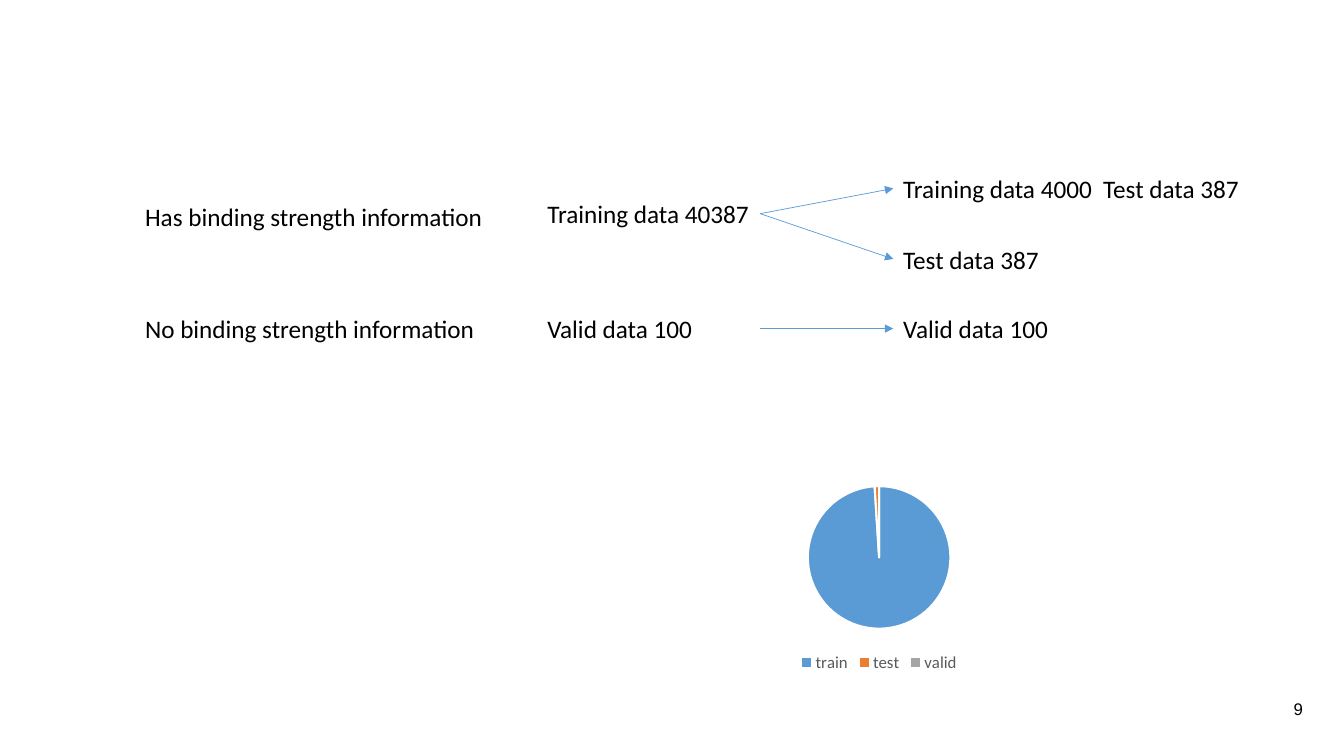
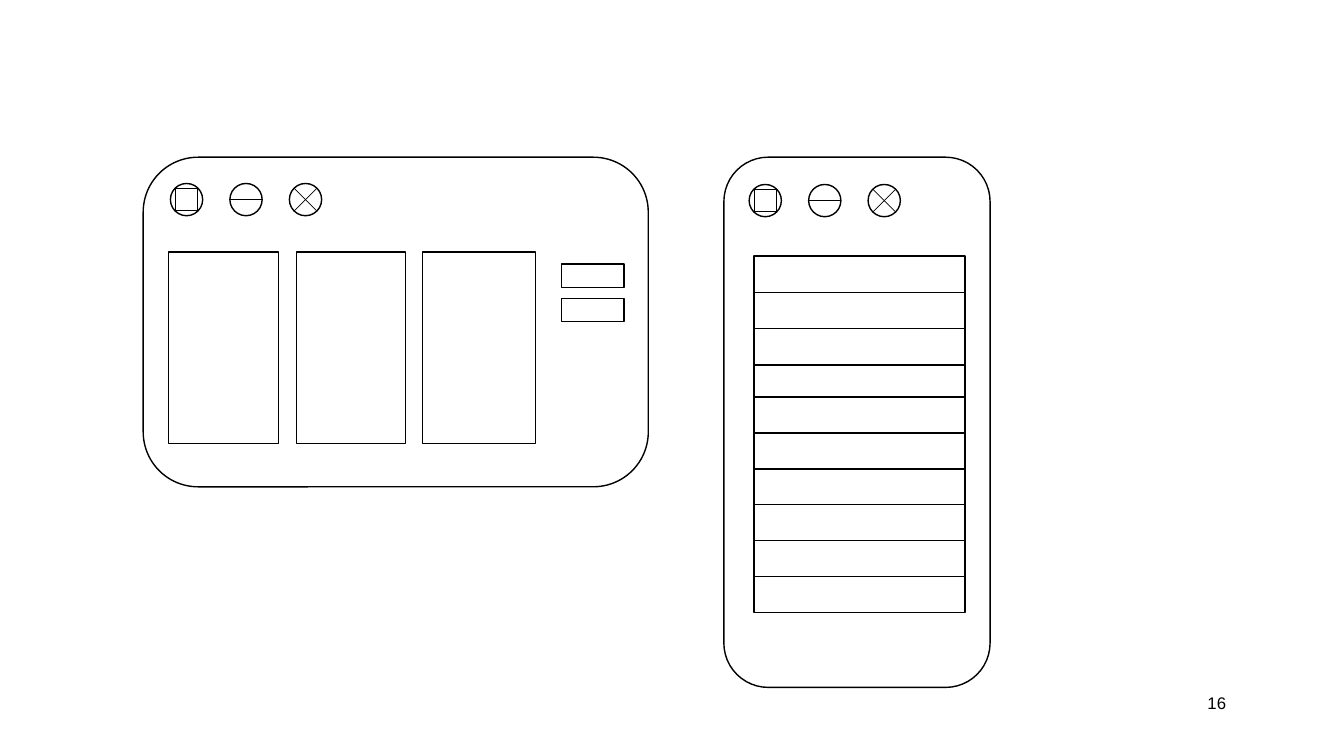
from lxml.etree import SubElement
from pptx import Presentation
from pptx.chart.data import CategoryChartData
from pptx.dml.color import RGBColor
from pptx.enum.chart import XL_CHART_TYPE, XL_LEGEND_POSITION
from pptx.enum.shapes import MSO_CONNECTOR, MSO_SHAPE
from pptx.enum.text import PP_ALIGN
from pptx.oxml import parse_xml
from pptx.oxml.ns import nsdecls, qn
from pptx.util import Inches, Pt

BLACK = RGBColor(0x00, 0x00, 0x00)
WHITE = RGBColor(0xFF, 0xFF, 0xFF)
BLUE = RGBColor(0x5B, 0x9B, 0xD5)
ORANGE = RGBColor(0xED, 0x7D, 0x31)
GRAY = RGBColor(0xA5, 0xA5, 0xA5)
LEGEND_GRAY = RGBColor(0x59, 0x59, 0x59)

LEFT, RIGHT = 1, 3
LABEL_HEIGHT = 0.4
ICON_SIZE = 0.32
ICON_PITCH = 0.59
NEAR, FAR = 0.05, 0.27
ICON_LINES = [
    [(NEAR, NEAR, FAR, NEAR), (NEAR, NEAR, NEAR, FAR),
     (NEAR, FAR, FAR, FAR), (FAR, NEAR, FAR, FAR)],
    [(0, 0.16, ICON_SIZE, 0.16)],
    [(NEAR, NEAR, FAR, FAR), (NEAR, FAR, FAR, NEAR)],
]


def add_label(page, text, left, top, width, size=18, font="Calibri",
              align=PP_ALIGN.LEFT, wrap=True):
    box = page.shapes.add_textbox(
        Inches(left), Inches(top), Inches(width), Inches(LABEL_HEIGHT))
    box.text_frame.word_wrap = wrap
    box.text_frame.text = text
    para = box.text_frame.paragraphs[0]
    para.alignment = align
    para.font.size = Pt(size)
    para.font.name = font
    para.font.color.rgb = BLACK
    return box


def add_page_number(page, number, left, top):
    add_label(page, number, left, top, 3, 12, "Arial", PP_ALIGN.RIGHT)


def add_line(shapes, x1, y1, x2, y2, color=BLACK):
    line = shapes.add_connector(MSO_CONNECTOR.STRAIGHT, Inches(x1),
                                Inches(y1), Inches(x2), Inches(y2))
    line.line.color.rgb = color
    line.line.width = Pt(0.5)
    SubElement(line._element.spPr, qn("a:effectLst"))
    return line


def add_arrow(page, source, target):
    arrow = add_line(page.shapes, 0, 0, 1, 1, BLUE)
    arrow.begin_connect(source, RIGHT)
    arrow.end_connect(target, LEFT)
    SubElement(arrow.line._get_or_add_ln(), qn("a:tailEnd"), type="triangle")


def add_outline(shapes, kind, left, top, width, height):
    shape = shapes.add_shape(kind, Inches(left), Inches(top),
                             Inches(width), Inches(height))
    shape.shadow.inherit = False
    shape.fill.solid()
    shape.fill.fore_color.rgb = WHITE
    shape.line.color.rgb = BLACK
    shape.line.width = Pt(1)


def add_window(page, left, width, height, icon_left, icon_top):
    add_outline(page.shapes, MSO_SHAPE.ROUNDED_RECTANGLE,
                left, 1.56, width, height)
    for index, lines in enumerate(ICON_LINES):
        icon = page.shapes.add_group_shape()
        x = icon_left + index * ICON_PITCH
        add_outline(icon.shapes, MSO_SHAPE.OVAL,
                    x, icon_top, ICON_SIZE, ICON_SIZE)
        for x1, y1, x2, y2 in lines:
            add_line(icon.shapes, x + x1, icon_top + y1,
                     x + x2, icon_top + y2)


def add_split_chart(page):
    data = CategoryChartData()
    data.categories = ["train", "test", "valid"]
    data.add_series("Series 1", (99, 1, 0))
    chart = page.shapes.add_chart(
        XL_CHART_TYPE.PIE, Inches(6.33), Inches(4.09),
        Inches(4.78), Inches(2.62), data).chart
    chart.has_title = False
    chart.font.name = "Calibri"
    chart.font.size = Pt(10)
    chart.font.color.rgb = BLACK
    chart.has_legend = True
    legend = chart.legend
    legend.position = XL_LEGEND_POSITION.BOTTOM
    legend.include_in_layout = False
    legend.font.name = "Calibri"
    legend.font.size = Pt(12)
    legend.font.color.rgb = LEGEND_GRAY
    plot = chart.plots[0]
    plot.vary_by_categories = True
    for index, color in enumerate((BLUE, ORANGE, GRAY)):
        style = plot.series[0].points[index].format
        style.fill.solid()
        style.fill.fore_color.rgb = color
        style.line.color.rgb = WHITE
        style.line.width = Pt(1.5)
    plot_area = chart._chartSpace.find(".//" + qn("c:plotArea"))
    for layout in plot_area.findall(qn("c:layout")):
        plot_area.remove(layout)
    plot_area.insert(0, parse_xml(
        f'<c:layout {nsdecls("c")}><c:manualLayout>'
        '<c:layoutTarget val="inner"/>'
        '<c:xMode val="edge"/><c:yMode val="edge"/>'
        '<c:x val="0.35"/><c:y val="0.28"/>'
        '<c:w val="0.3"/><c:h val="0.54"/>'
        '</c:manualLayout></c:layout>'))


def build_data_split(page):
    add_page_number(page, "9", 10.02, 6.88)
    add_label(page, "Has binding strength information",
              1.34, 1.95, 3.59, wrap=False)
    add_label(page, "No binding strength information",
              1.34, 3.06, 3.51, wrap=False)
    training = add_label(page, "Training data 40387", 5.33, 1.92, 2.21)
    valid = add_label(page, "Valid data 100", 5.33, 3.06, 2.21)
    train_split = add_label(page, "Training data 4000\u00a0 Test data 387".replace("\u00a0", " "),
                            8.86, 1.67, 3.82)
    test_split = add_label(page, "Test data 387", 8.86, 2.37, 2.1)
    valid_split = add_label(page, "Valid data 100", 8.86, 3.06, 2.1)
    for source, target in ((training, train_split), (training, test_split),
                           (valid, valid_split)):
        add_arrow(page, source, target)
    add_split_chart(page)


def build_wireframes(page):
    add_page_number(page, "16", 9.26, 6.82)
    add_window(page, 1.42, 5.01, 3.27, 1.69, 1.82)
    for left, width in ((1.67, 1.09), (2.94, 1.08), (4.19, 1.12)):
        add_outline(page.shapes, MSO_SHAPE.RECTANGLE, left, 2.5, width, 1.9)
    for top in (2.62, 2.96):
        add_outline(page.shapes, MSO_SHAPE.RECTANGLE, 5.57, top, 0.62, 0.23)
    add_window(page, 7.18, 2.64, 5.26, 7.43, 1.83)
    upper_rows = [2.54 + 0.36 * row for row in range(4)]
    lower_rows = [3.94 + 1.78 * row / 5 for row in range(6)]
    for top in upper_rows + lower_rows:
        add_outline(page.shapes, MSO_SHAPE.RECTANGLE, 7.48, top, 2.09, 0.36)


def main():
    deck = Presentation()
    deck.slide_width = Inches(13.33)
    deck.slide_height = Inches(7.5)
    blank = deck.slide_layouts[6]
    for build in (build_data_split, build_wireframes):
        build(deck.slides.add_slide(blank))
    deck.save("out.pptx")


if __name__ == "__main__":
    main()
